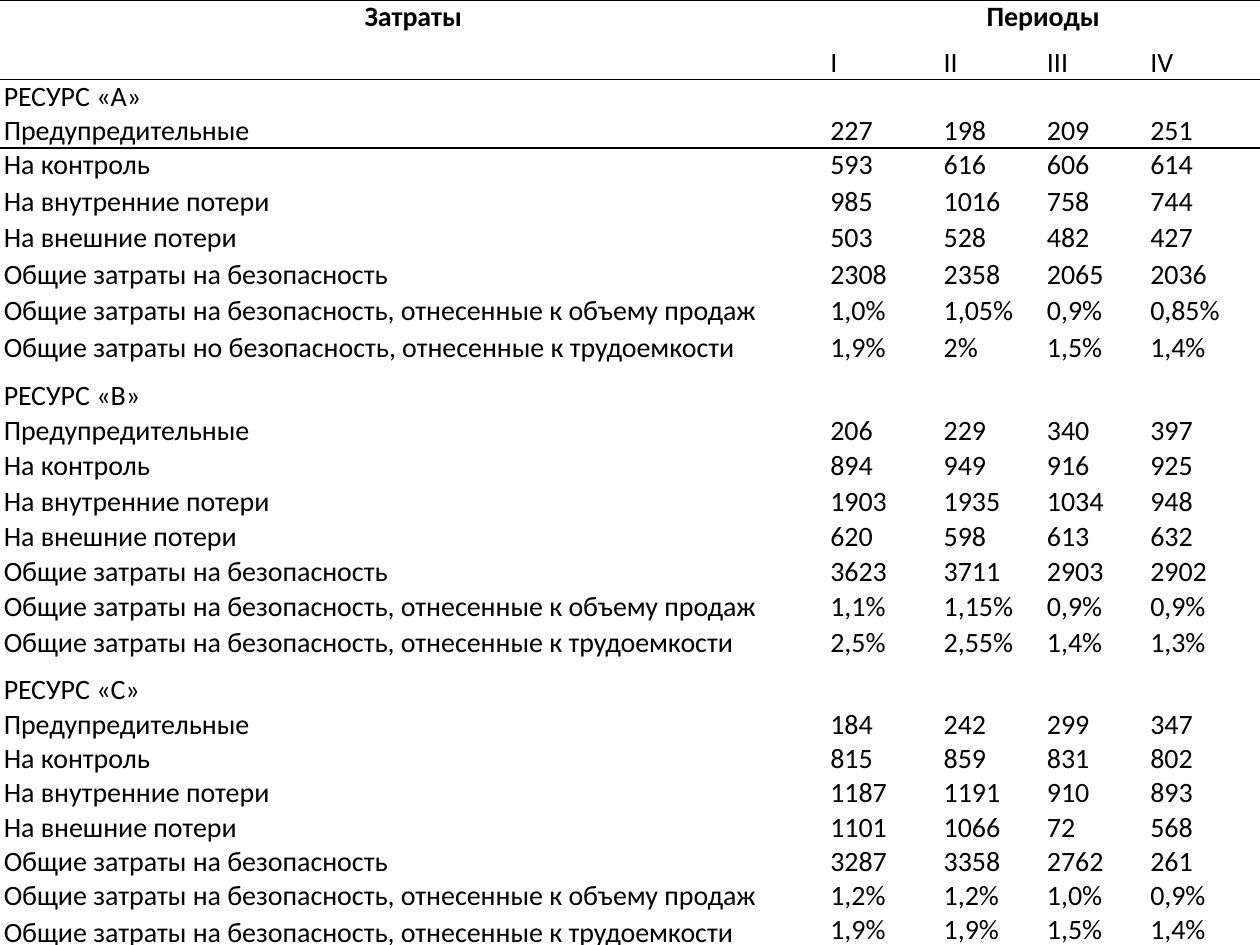
from lxml.etree import SubElement
from pptx import Presentation
from pptx.dml.color import RGBColor
from pptx.enum.text import MSO_ANCHOR as ANCHOR, PP_ALIGN as ALIGN
from pptx.oxml.ns import qn
from pptx.util import Inches, Pt

BLACK = RGBColor(0, 0, 0)
WHITE = RGBColor(255, 255, 255)
FONT, SIZE = "Calibri", Pt(16)
NO_STYLE = "{2D5ABB26-0587-4C30-8999-92F81FD0307C}"

COL_WIDTHS = [6.56, 0.9, 0.82, 0.82, 0.9]
ROW_HEIGHTS = ([0.36, 0.24]
               + [0.53] + [0.29] * 5 + [0.38]
               + [0.28] * 7 + [0.38]
               + [0.26] + [0.27] * 6 + [0.32])

PERIODS = ["I", "II", "III", "IV"]
TOTAL = "Общие затраты на безопасность"
COSTS = ["Предупредительные", "На контроль", "На внутренние потери",
         "На внешние потери", TOTAL,
         TOTAL + ", отнесенные к объему продаж"]
PER_LABOUR = TOTAL + ", отнесенные к трудоемкости"
PER_LABOUR_A = "Общие затраты но безопасность, отнесенные к трудоемкости"

RESOURCES = [
    ("РЕСУРС «А»", PER_LABOUR_A, [
        "227 198 209 251", "593 616 606 614", "985 1016 758 744",
        "503 528 482 427", "2308 2358 2065 2036",
        "1,0% 1,05% 0,9% 0,85%", "1,9% 2% 1,5% 1,4%"]),
    ("РЕСУРС «В»", PER_LABOUR, [
        "206 229 340 397", "894 949 916 925", "1903 1935 1034 948",
        "620 598 613 632", "3623 3711 2903 2902",
        "1,1% 1,15% 0,9% 0,9%", "2,5% 2,55% 1,4% 1,3%"]),
    ("РЕСУРС «С»", PER_LABOUR, [
        "184 242 299 347", "815 859 831 802", "1187 1191 910 893",
        "1101 1066 72 568", "3287 3358 2762 261",
        "1,2% 1,2% 1,0% 0,9%", "1,9% 1,9% 1,5% 1,4%"]),
]


def table_rows():
    """Return the text of every table row; the first resource shares a row with its first cost."""
    rows = [["Затраты", "Периоды", "", "", ""], [""] + PERIODS]
    for i, (name, last_label, values) in enumerate(RESOURCES):
        block = [[label] + line.split()
                 for label, line in zip(COSTS + [last_label], values)]
        if i == 0:
            block[0][0] = name + "\n" + block[0][0]
        else:
            rows.append([name] + [""] * len(PERIODS))
        rows += block
    return rows


def fill_cell(cell, text, header=False):
    """Write text into a cell on white; header cells are bold and centred."""
    cell.fill.solid()
    cell.fill.fore_color.rgb = WHITE
    cell.margin_left = cell.margin_right = Inches(0.03)
    cell.margin_top = cell.margin_bottom = 0
    cell.text = text
    for p in cell.text_frame.paragraphs:
        p.alignment = ALIGN.CENTER if header else ALIGN.LEFT
        p.font.name, p.font.size = FONT, SIZE
        p.font.bold = header
        p.font.color.rgb = BLACK


def rule(table, row, side):
    """Draw a 1 pt black border along one side of a row."""
    for cell in table.rows[row].cells:
        tc_pr = cell._tc.get_or_add_tcPr()
        ln = SubElement(tc_pr, qn("a:" + side), w=str(Pt(1)))
        tc_pr.insert(0, ln)
        fill = SubElement(ln, qn("a:solidFill"))
        SubElement(fill, qn("a:srgbClr"), val=str(BLACK))


def add_cost_table(s, prs):
    """Add the table of costs by resource and period."""
    rows = table_rows()
    frame = s.shapes.add_table(len(rows), len(COL_WIDTHS), 0, 0,
                               prs.slide_width, Inches(sum(ROW_HEIGHTS)))
    table = frame.table
    table.first_row = table.horz_banding = False
    table._tbl.tblPr.find(qn("a:tableStyleId")).text = NO_STYLE
    for col, width in zip(table.columns, COL_WIDTHS):
        col.width = Inches(width)
    for r, (row, height) in enumerate(zip(rows, ROW_HEIGHTS)):
        table.rows[r].height = Inches(height)
        for c, text in enumerate(row):
            fill_cell(table.cell(r, c), text, header=r == 0)
    table.cell(0, 1).merge(table.cell(0, len(PERIODS)))
    for c in range(1, len(COL_WIDTHS)):
        table.cell(2, c).vertical_anchor = ANCHOR.BOTTOM
    last = len(rows) - 1
    for r in (last - 1, last):
        table.cell(r, 0).vertical_anchor = ANCHOR.MIDDLE
    for r, side in ((0, "lnT"), (1, "lnB"), (2, "lnT"), (last, "lnB")):
        rule(table, r, side)


def main():
    """Build the slide and save it."""
    prs = Presentation()
    prs.slide_width, prs.slide_height = Inches(10), Inches(7.5)
    s = prs.slides.add_slide(prs.slide_layouts[6])
    add_cost_table(s, prs)
    prs.save("out.pptx")


main()
